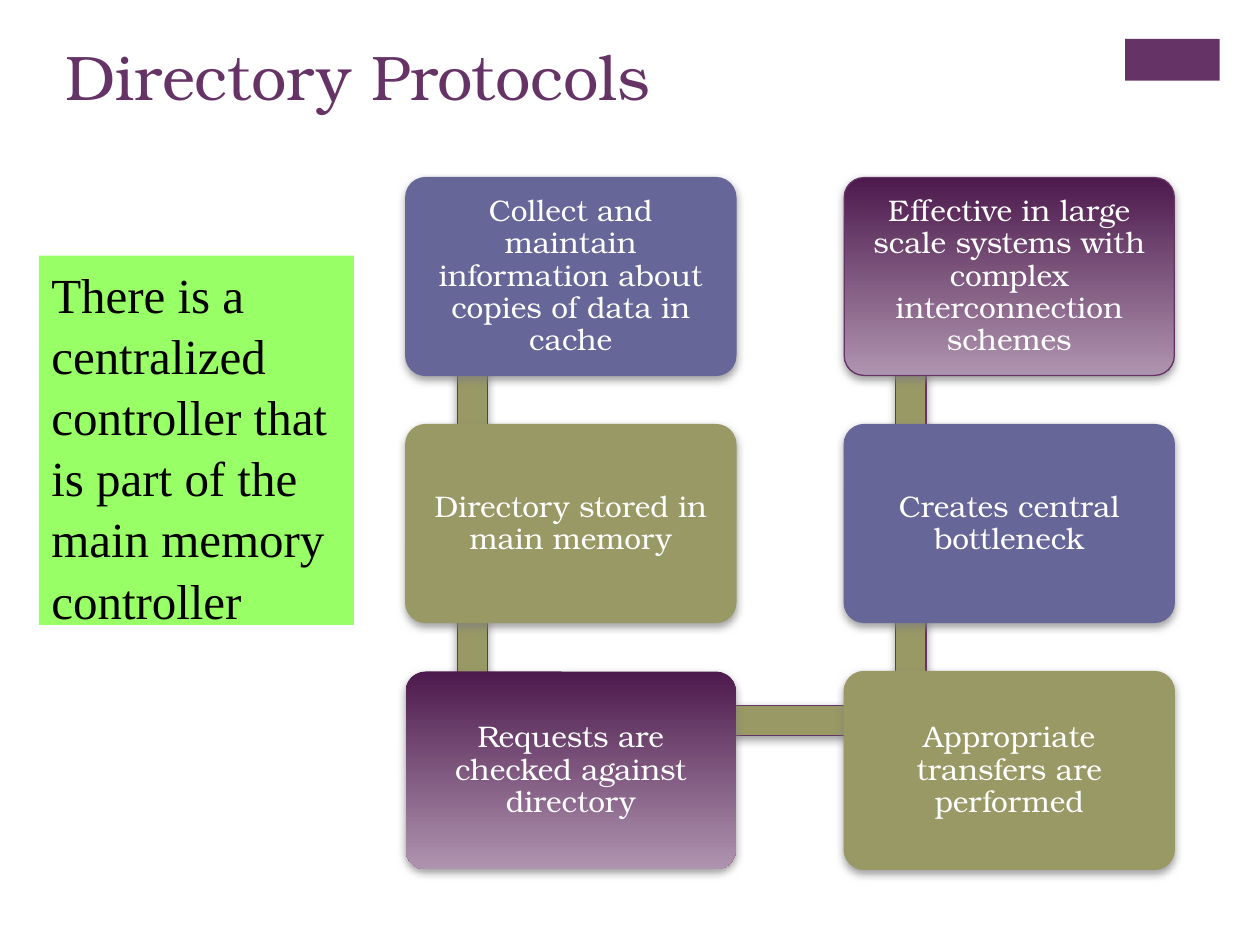
"""Build the Directory Protocols slide with a six-step snake diagram."""
from lxml import etree
from pptx import Presentation
from pptx.dml.color import RGBColor
from pptx.enum.shapes import MSO_SHAPE
from pptx.enum.text import MSO_ANCHOR, PP_ALIGN
from pptx.oxml.ns import qn
from pptx.util import Inches, Pt

RECTANGLE, ROUNDED = MSO_SHAPE.RECTANGLE, MSO_SHAPE.ROUNDED_RECTANGLE
TOP, MIDDLE = MSO_ANCHOR.TOP, MSO_ANCHOR.MIDDLE
LEFT, CENTER = PP_ALIGN.LEFT, PP_ALIGN.CENTER
SERIF, ROMAN = "TeX Gyre Bonum", "Times New Roman"
COLORS = {
    "purple": "663366", "blue": "666699", "olive": "999966", "green": "99FF66",
    "dark": "4D1A4D", "light": "AF94AF", "shadow": "808080",
    "white": "FFFFFF", "black": "000000",
}


def add_block(kind, bounds, fill, line=None, shadow=True):
    """Add a filled shape, with an optional outline and soft shadow."""
    block = page.shapes.add_shape(kind, *[Inches(value) for value in bounds])
    block.shadow.inherit = False
    if fill == "gradient":
        block.fill.gradient()
        block.fill.gradient_angle = 270
        for stop, name in zip(block.fill.gradient_stops, ("dark", "light")):
            stop.color.rgb = RGBColor.from_string(COLORS[name])
    else:
        block.fill.solid()
        block.fill.fore_color.rgb = RGBColor.from_string(COLORS[fill])
    if line:
        block.line.color.rgb = RGBColor.from_string(COLORS[line])
        block.line.width = Pt(0.75)
    else:
        block.line.fill.background()
    if shadow:
        effects = block._element.spPr.find(qn("a:effectLst"))
        outer = etree.SubElement(effects, qn("a:outerShdw"), blurRad=str(Pt(5)),
                                 dist=str(Pt(2)), dir="5400000", rotWithShape="0")
        tint = etree.SubElement(outer, qn("a:srgbClr"), val=COLORS["shadow"])
        etree.SubElement(tint, qn("a:alpha"), val="75000")
    return block


def write_text(box, text, font, size, color, frame_format, para_format):
    """Write one formatted paragraph into a shape."""
    frame = box.text_frame
    frame.word_wrap = True
    for name, value in frame_format.items():
        setattr(frame, name, value)
    para = frame.paragraphs[0]
    for name, value in para_format.items():
        setattr(para, name, value)
    span = para.add_run()
    span.text = text
    span.font.name, span.font.size = font, Pt(size)
    span.font.color.rgb = RGBColor.from_string(COLORS[color])


deck = Presentation()
deck.slide_width, deck.slide_height = Inches(10), Inches(7.5)
page = deck.slides.add_slide(deck.slide_layouts[5])

add_block(RECTANGLE, (8.93, 0.31, 0.75, 0.33), "purple", shadow=False)

title = page.shapes.title
title_bounds = {"left": 0.42, "top": 0.25, "width": 8.26, "height": 1.22}
for name, value in title_bounds.items():
    setattr(title, name, Inches(value))
write_text(title, "Directory Protocols", SERIF, 36, "purple",
           {"vertical_anchor": TOP}, {"alignment": LEFT})

columns, first_row, row_step = (3.22, 6.7), 1.41, 1.96
card_width, card_height, bar = 2.62, 1.57, 0.24
for column in columns:
    for row in range(2):
        bounds = (column + 0.41, first_row + 0.39 + row * row_step, bar, 1.95)
        add_block(RECTANGLE, bounds, "olive", "purple")
add_block(RECTANGLE, (3.75, 5.6, 3.47, bar), "olive", "purple")

steps = [
    (0, 0, "blue", "blue", "Collect and maintain information about copies of data in cache"),
    (0, 1, "olive", "olive", "Directory stored in main memory"),
    (0, 2, "gradient", None, "Requests are checked against directory"),
    (1, 2, "olive", "olive", "Appropriate transfers are performed"),
    (1, 1, "blue", "blue", "Creates central bottleneck"),
    (1, 0, "gradient", "purple",
     "Effective in large scale systems with complex interconnection schemes"),
]
card_frame = {"vertical_anchor": MIDDLE}
for side in ("left", "top", "right", "bottom"):
    card_frame[f"margin_{side}"] = Inches(0.07)
card_para = {"alignment": CENTER, "line_spacing": 0.9, "space_after": Pt(6)}
for column, row, fill, line, text in steps:
    bounds = (columns[column], first_row + row * row_step, card_width, card_height)
    card = add_block(ROUNDED, bounds, fill, line)
    card.adjustments[0] = 0.1
    write_text(card, text, SERIF, 17, "white", card_frame, card_para)

note = add_block(RECTANGLE, (0.31, 2.03, 2.5, 2.93), "green", shadow=False)
write_text(note, "There is a centralized controller that is part of the main memory controller",
           ROMAN, 28, "black", {"vertical_anchor": TOP},
           {"alignment": LEFT, "line_spacing": 1.04, "space_before": Pt(2)})

deck.save("out.pptx")
